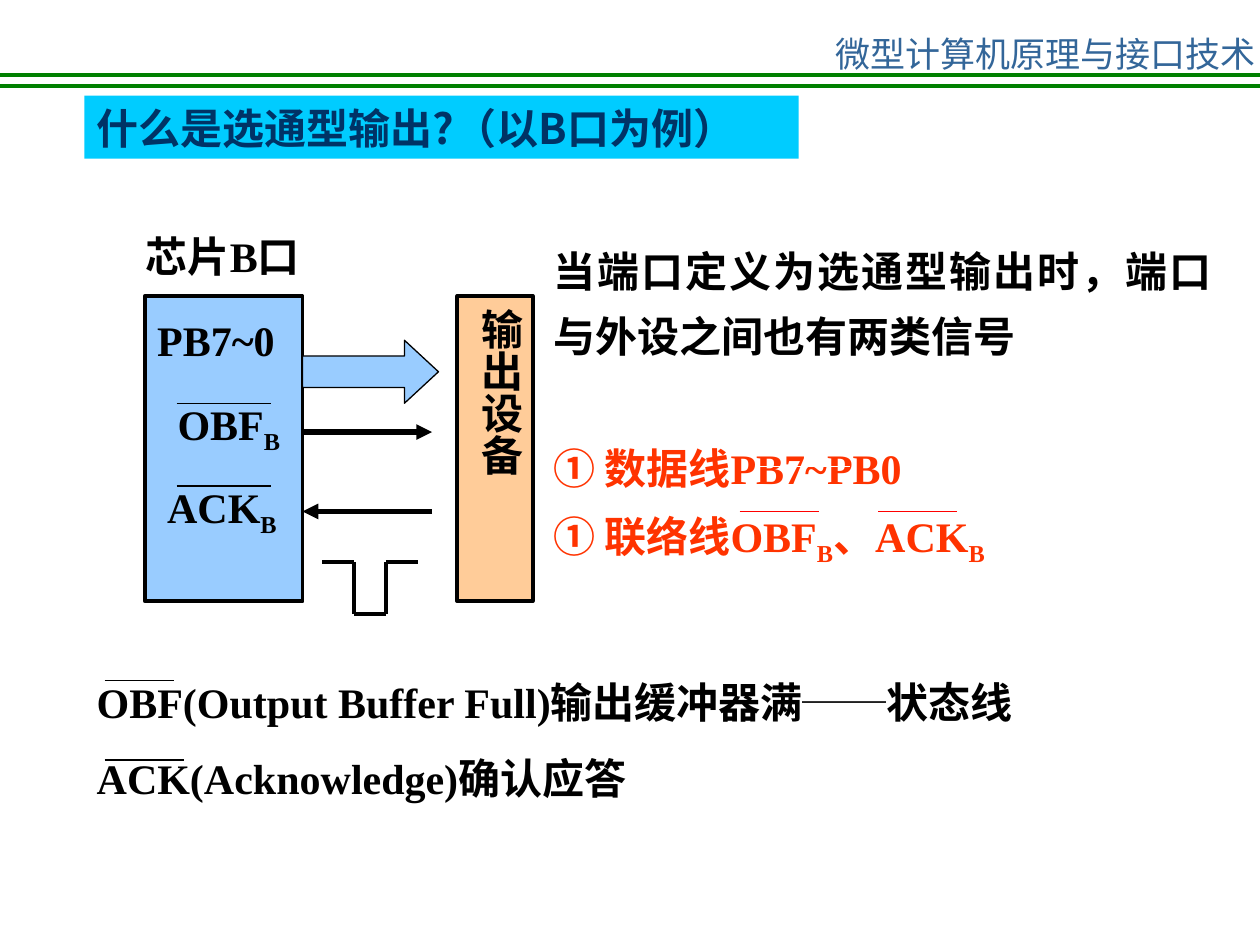
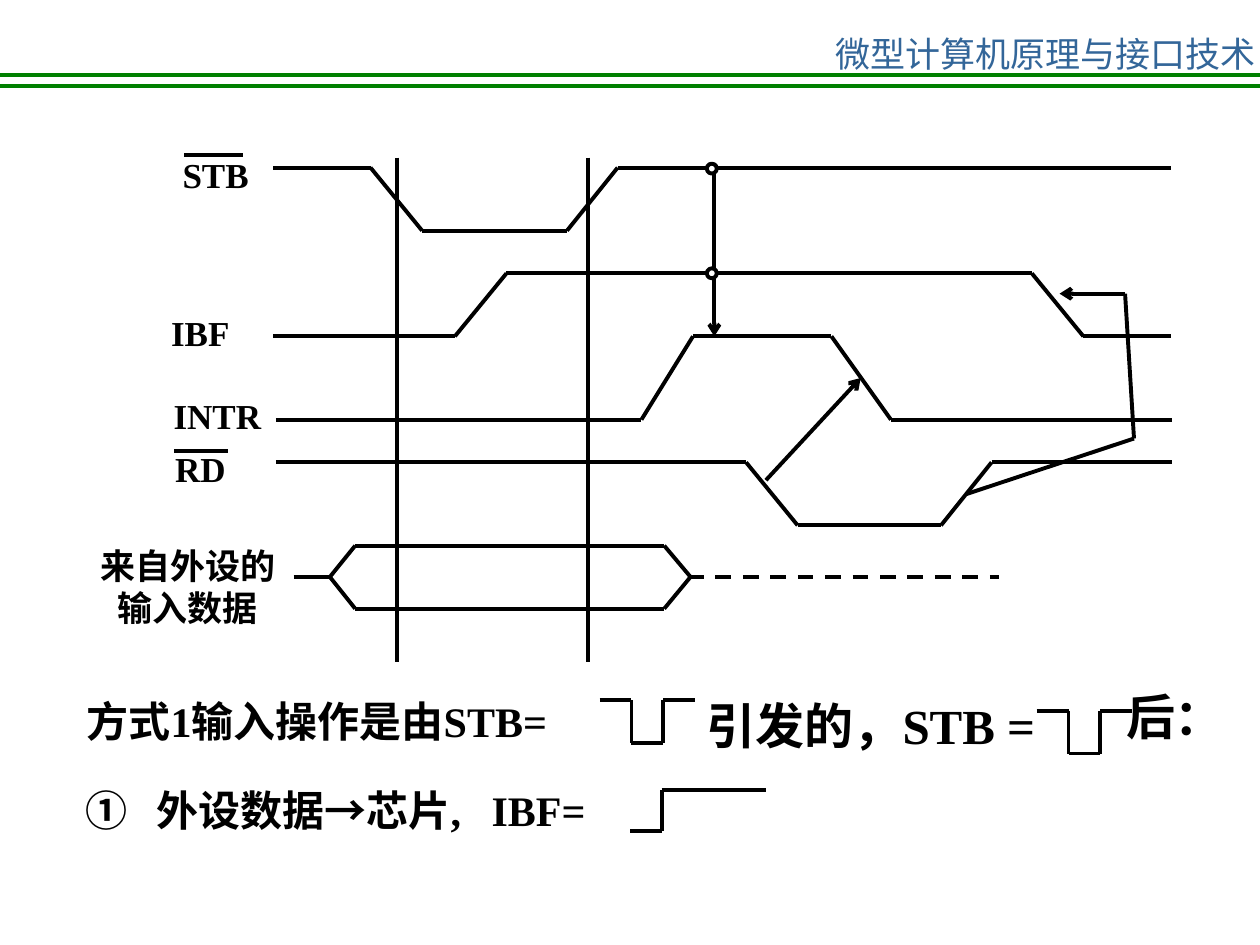
"""Build two slides on strobed output and mode 1 input timing of a parallel port chip."""
from dataclasses import dataclass

import pptx
import pptx.dml.color
import pptx.enum.dml
import pptx.enum.shapes
import pptx.enum.text
import pptx.oxml
import pptx.oxml.ns
import pptx.util
from pptx.util import Cm


@dataclass(frozen=True)
class Theme:
    ink: str = "000000"
    paper: str = "FFFFFF"
    band: str = "008000"
    course: str = "336699"
    title: str = "003366"
    title_fill: str = "00CCFF"
    port: str = "99CCFF"
    device: str = "FFCC99"
    accent: str = "FF3300"
    overline: str = "FF0000"
    serif: str = "Times New Roman"
    sans: str = "Arial"
    chinese: str = "Noto Sans CJK SC"
    label: int = 20
    body: int = 24
    large: int = 28
    thin: float = 0.75
    medium: float = 2.25
    thick: float = 3


THEME = Theme()
ALIGN = pptx.enum.text.PP_ALIGN
SHAPE = pptx.enum.shapes.MSO_SHAPE
rgb = pptx.dml.color.RGBColor.from_string


def put_text(shape, *paragraphs, size=THEME.body, font=THEME.serif, color=THEME.ink, bold=True,
             align=ALIGN.LEFT, anchor=pptx.enum.text.MSO_ANCHOR.TOP, wrap=True,
             spacing=None, before=0, tabs=()):
    """Fill a shape; each paragraph is a string or a list of strings and (text, style) pairs."""
    frame = shape.text_frame
    frame.word_wrap = wrap
    frame.auto_size = pptx.enum.text.MSO_AUTO_SIZE.NONE
    frame.vertical_anchor = anchor
    for number, pieces in enumerate(paragraphs):
        paragraph = frame.add_paragraph() if number else frame.paragraphs[0]
        paragraph.alignment = align
        if spacing:
            paragraph.line_spacing = spacing
        if number and before:
            paragraph.space_before = pptx.util.Pt(before)
        if tabs:
            stops = pptx.oxml.parse_xml(f"<a:tabLst {pptx.oxml.ns.nsdecls('a')}/>")
            for stop in tabs:
                stops.append(pptx.oxml.parse_xml(
                    f'<a:tab {pptx.oxml.ns.nsdecls("a")} pos="{Cm(stop)}" algn="l"/>'))
            paragraph._p.get_or_add_pPr().append(stops)
        for piece in [pieces] if isinstance(pieces, str) else pieces:
            words, style = (piece, None) if isinstance(piece, str) else piece
            run = paragraph.add_run()
            run.text = words
            run.font.size = pptx.util.Pt(size)
            run.font.bold = bold
            run.font.color.rgb = rgb(color)
            run.font.name = THEME.sans if style == "sans" else font
            properties = run._r.get_or_add_rPr()
            properties.append(pptx.oxml.parse_xml(
                f'<a:ea {pptx.oxml.ns.nsdecls("a")} typeface="{THEME.chinese}"/>'))
            if style == "sub":
                properties.set("baseline", "-25000")


def put_path(slide, *points, color=THEME.ink, width=THEME.medium, arrow=None, dashed=False):
    """Join the points with straight connectors, with an arrowhead at the last one."""
    for start, end in zip(points, points[1:]):
        segment = slide.shapes.add_connector(
            pptx.enum.shapes.MSO_CONNECTOR.STRAIGHT, *map(Cm, start + end))
        segment.line.color.rgb = rgb(color)
        segment.line.width = pptx.util.Pt(width)
        if dashed:
            segment.line.dash_style = pptx.enum.dml.MSO_LINE.DASH
        if arrow and end == points[-1]:
            segment.line._get_or_add_ln().append(pptx.oxml.parse_xml(
                f'<a:tailEnd {pptx.oxml.ns.nsdecls("a")} type="{arrow}"/>'))
        segment._element.spPr.append(
            pptx.oxml.parse_xml(f"<a:effectLst {pptx.oxml.ns.nsdecls('a')}/>"))


deck = pptx.Presentation()
deck.slide_width, deck.slide_height = Cm(25.4), Cm(19.05)
output = deck.slides.add_slide(deck.slide_layouts[5])
timing = deck.slides.add_slide(deck.slide_layouts[6])

for slide in (output, timing):
    for y in (1.52, 1.73):
        put_path(slide, (0, y), (25.4, y), color=THEME.band)
    course = slide.shapes.add_textbox(Cm(16.59), Cm(0.53), Cm(8.97), Cm(0.61))
    put_text(course, "微型计算机原理与接口技术", size=THEME.label, font=THEME.chinese,
             color=THEME.course, bold=False, wrap=False)

title = output.shapes.title
title.left, title.top, title.width, title.height = Cm(1.7), Cm(1.93), Cm(14.4), Cm(1.27)
title.fill.solid()
title.fill.fore_color.rgb = rgb(THEME.title_fill)
put_text(title, "什么是选通型输出?（以B口为例）", font=THEME.chinese, color=THEME.title,
         align=ALIGN.JUSTIFY, anchor=pptx.enum.text.MSO_ANCHOR.MIDDLE)

intro = output.shapes.add_textbox(Cm(10.9), Cm(4.52), Cm(13.77), Cm(3.5))
put_text(intro, "当端口定义为选通型输出时，端口与外设之间也有两类信号",
         align=ALIGN.JUSTIFY, spacing=1.3)
signals = output.shapes.add_textbox(Cm(10.9), Cm(8.5), Cm(13.77), Cm(3.06))
put_text(signals, [("①", "sans"), " 数据线PB7~PB0"],
         [("① ", "sans"), "联络线OBF", ("B", "sub"), "、ACK", ("B", "sub")],
         color=THEME.accent, align=ALIGN.JUSTIFY, spacing=1.3)
meanings = output.shapes.add_textbox(Cm(1.7), Cm(13.51), Cm(22.22), Cm(2.82))
put_text(meanings, ["OBF(Output Buffer Full)输出缓冲器满", ("──", "sans"), "状态线"],
         "ACK(Acknowledge)确认应答", align=ALIGN.JUSTIFY, before=15)

blocks = []
for kind, left, top, width, height, fill, border in (
        (SHAPE.RECTANGLE, 2.92, 5.97, 3.18, 6.15, THEME.port, THEME.medium),
        (SHAPE.RECTANGLE, 9.22, 5.97, 1.52, 6.15, THEME.device, THEME.medium),
        (SHAPE.RIGHT_ARROW, 6.1, 6.86, 2.74, 1.27, THEME.port, THEME.thin)):
    block = output.shapes.add_shape(kind, Cm(left), Cm(top), Cm(width), Cm(height))
    block.shadow.inherit = False
    block.fill.solid()
    block.fill.fore_color.rgb = rgb(fill)
    block.line.color.rgb = rgb(THEME.ink)
    block.line.width = pptx.util.Pt(border)
    blocks.append(block)
port, device, data_bus = blocks
data_bus.adjustments[1] = 0.54
put_text(device, "输出设备", align=ALIGN.CENTER)
device.text_frame._txBody.bodyPr.set("vert", "eaVert")
device.text_frame.margin_left = device.text_frame.margin_right = Cm(0.13)
device.text_frame.margin_top = device.text_frame.margin_bottom = Cm(0.25)

for words, left, top, width in (
        ("芯片B口", 2.69, 4.52, 6.15),
        ("PB7~0", 2.92, 6.22, 4.88),
        (["OBF", ("B", "sub")], 3.33, 7.9, 4.88),
        (["ACK", ("B", "sub")], 3.12, 9.58, 4.88)):
    pin = output.shapes.add_textbox(Cm(left), Cm(top), Cm(width), Cm(1.27))
    put_text(pin, words)

for left, right, y, color in (
        (15.24, 17.14, 9.4, THEME.paper), (18.62, 20.52, 9.4, THEME.paper),
        (14.91, 16.51, 10.31, THEME.overline), (17.7, 19.3, 10.31, THEME.overline),
        (2.11, 3.51, 13.72, THEME.ink), (2.11, 3.71, 15.32, THEME.ink),
        (3.56, 5.46, 8.13, THEME.ink), (3.56, 5.46, 9.8, THEME.ink)):
    put_path(output, (left, y), (right, y), color=color, width=THEME.thin)

put_path(output, (6.1, 8.71), (8.71, 8.71), width=THEME.thick, arrow="triangle")
put_path(output, (8.71, 10.31), (6.1, 10.31), width=THEME.thick, arrow="triangle")

step = 0.64
for slide, left, high, depth in (
        (output, 6.5, 11.33, 1.04), (timing, 12.09, 14.12, 0.86), (timing, 20.9, 14.33, 0.86)):
    a, b, c, d = (left + step * count for count in range(4))
    low = high + depth
    put_path(slide, (a, high), (b, high), (b, low), (c, low), (c, high), (d, high))

for words, left, top, width, size, tabs in (
        ("方式1输入操作是由STB=", 1.5, 13.89, 22.86, THEME.body, ()),
        ("引发的，STB =", 14, 13.89, 7.82, THEME.large, ()),
        ("后：", 22.45, 13.72, 2.9, THEME.large, ()),
        ([("①\t", "sans"), "外设数据→芯片,\tIBF="], 1.47, 15.7, 20.96, THEME.body, (1.44, 8.19)),
        ("STB", 3.43, 2.97, 3.71, THEME.label, ()),
        ("IBF", 3.2, 6.15, 2.29, THEME.label, ()),
        ("INTR", 3.25, 7.82, 2.84, THEME.label, ()),
        ("RD", 3.28, 8.89, 3.71, THEME.label, ())):
    caption = timing.shapes.add_textbox(Cm(left), Cm(top), Cm(width), Cm(1.27))
    put_text(caption, words, size=size, tabs=tabs)
input_data = timing.shapes.add_textbox(Cm(1.07), Cm(10.85), Cm(5.44), Cm(1.96))
put_text(input_data, "来自外设的", "输入数据", size=THEME.label, align=ALIGN.CENTER)

stb = (5.51, 3.38), (7.47, 3.38), (8.51, 4.65), (11.43, 4.65), (12.45, 3.38), (23.6, 3.38)
ibf = (5.51, 6.78), (9.17, 6.78), (10.21, 5.51), (20.8, 5.51), (21.84, 6.78), (23.6, 6.78)
intr = (5.56, 8.46), (12.93, 8.46), (13.97, 6.78), (16.76, 6.78), (17.96, 8.46), (23.62, 8.46)
rd = (5.56, 9.32), (15.04, 9.32), (16.08, 10.59), (18.97, 10.59), (19.99, 9.32), (23.62, 9.32)
data_lead = (5.92, 11.63), (6.65, 11.63)
stb_bar = (3.71, 3.12), (4.9, 3.12)
rd_bar = (3.51, 9.09), (4.6, 9.09)
step_up = (12.7, 16.76), (13.34, 16.76), (13.34, 15.93), (15.44, 15.93)
for trace in (stb, ibf, intr, rd, data_lead, stb_bar, rd_bar, step_up):
    put_path(timing, *trace)
for y in (11, 12.27):
    put_path(timing, (6.65, 11.63), (7.16, y), (13.39, y), (13.92, 11.63))
put_path(timing, (13.87, 11.63), (20.14, 11.63), dashed=True)
for x in (8, 11.86):
    put_path(timing, (x, 3.18), (x, 13.34))

put_path(timing, (15.44, 9.68), (17.35, 7.62), arrow="arrow")
put_path(timing, (19.48, 9.96), (22.86, 8.84), (22.68, 5.92), (21.36, 5.92), arrow="arrow")
put_path(timing, (14.4, 3.38), (14.4, 6.78), arrow="arrow")
for top in (3.3, 5.41):
    condition = timing.shapes.add_shape(SHAPE.OVAL, Cm(14.25), Cm(top), Cm(0.2), Cm(0.2))
    condition.shadow.inherit = False
    condition.fill.solid()
    condition.fill.fore_color.rgb = rgb(THEME.paper)
    condition.line.color.rgb = rgb(THEME.ink)
    condition.line.width = pptx.util.Pt(THEME.medium)

deck.save("out.pptx")
